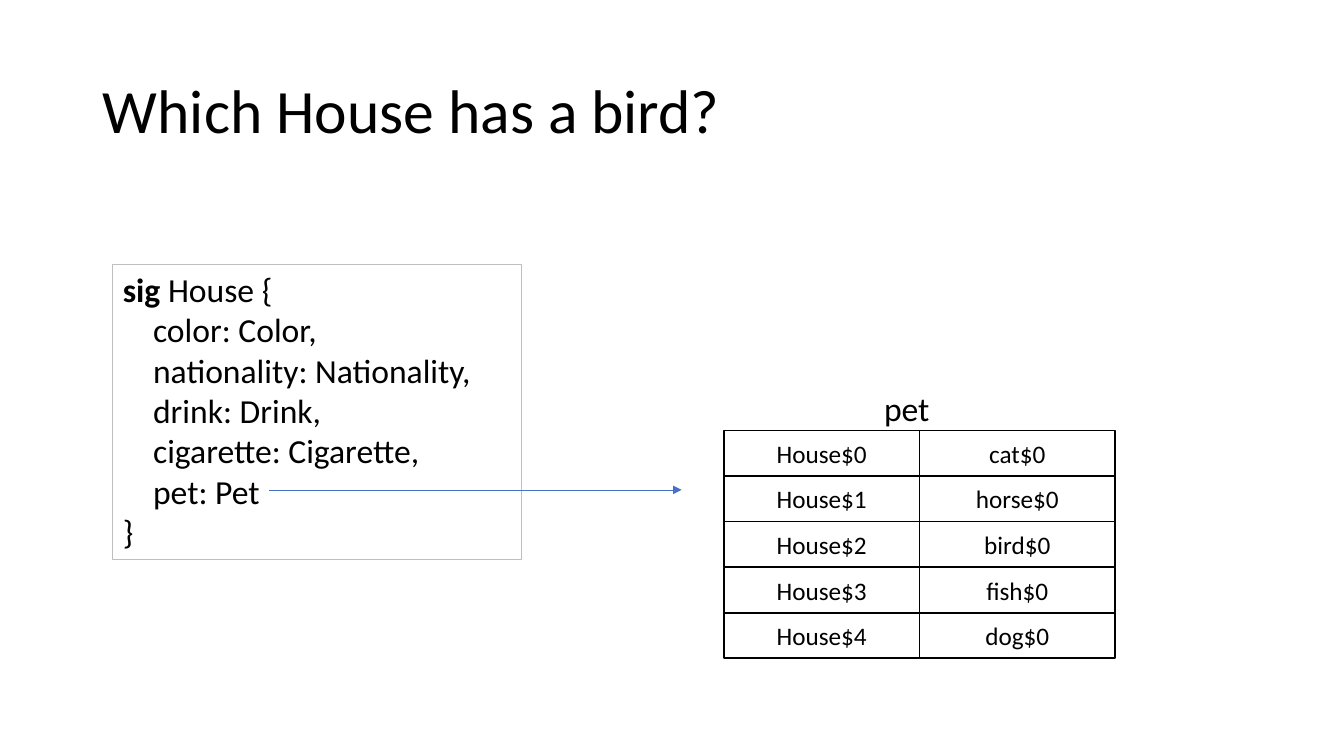
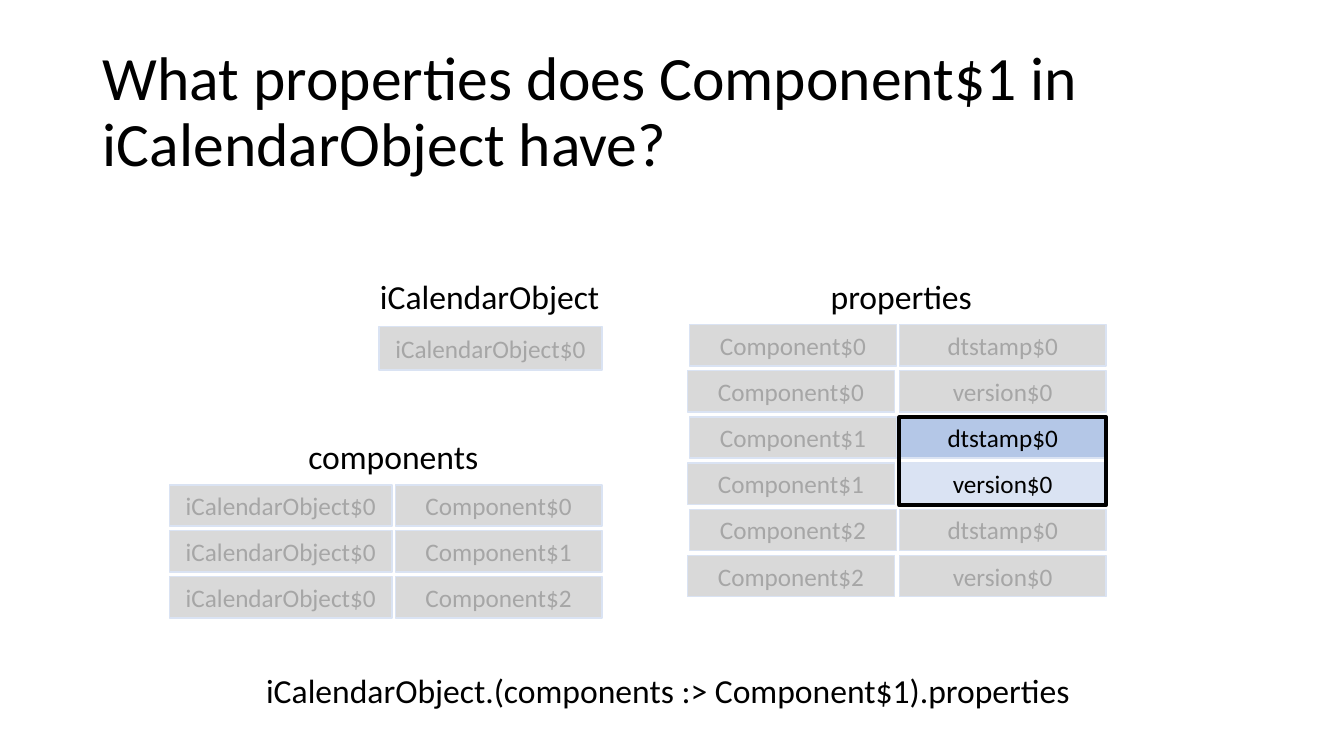
import pptx
import pptx.util
import pptx.dml.color
import pptx.enum.shapes
import pptx.enum.text
import pptx.oxml
import pptx.oxml.ns

In, Pt = pptx.util.Inches, pptx.util.Pt
PP, MSO = pptx.enum.text.PP_ALIGN, pptx.enum.text.MSO_ANCHOR
FONT = "Calibri"
BLACK, WHITE, BLUE, SILVER = "000000", "FFFFFF", "4472C4", "BFBFBF"
GREY, DIM, PALE, MID = "D9D9D9", "A6A6A6", "DAE3F3", "B4C7E7"
TITLE = dict(left=0.92, top=0.4, width=11.5, height=1.45)
LABEL_H = 0.5
PLAIN = dict(fill=WHITE, line=BLACK, color=BLACK)
FADED = dict(fill=GREY, line=PALE, color=DIM)

HOUSE = {
    "title": "Which House has a bird?",
    "sig": [
        ("sig", " House {"), "color: Color,", "nationality: Nationality,",
        "drink: Drink,", "cigarette: Cigarette,", "pet: Pet", ("", "}"),
    ],
    "sig_box": (1.12, 2.62, 4.05, 2.93),
    "labels": [("pet", 8.67, 3.8, 0.66)],
    "relations": [
        dict(first=4.27, last=6.08, height=0.45, columns=[(7.18, 1.94), (9.12, 1.94)],
             rows=[(f"House${i}", f"{pet}$0")
                   for i, pet in enumerate(["cat", "horse", "bird", "fish", "dog"])]),
    ],
    "arrow": (2.67, 4.86, 6.76, 4.86),
}

CALENDAR = {
    "title": "What properties does Component$1 in iCalendarObject have?",
    "labels": [
        ("properties", 8.14, 2.69, 1.62),
        ("iCalendarObject", 3.67, 2.69, 2.4),
        ("components", 2.96, 4.28, 1.9),
        ("iCalendarObject.(components :> Component$1).properties", 2.54, 6.6, 8.25),
    ],
    "relations": [
        dict(first=3.24, last=3.24, height=0.43, columns=[(3.76, 2.21)],
             rows=[("iCalendarObject$0",)]),
        dict(first=4.81, last=5.72, height=0.41, columns=[(1.68, 2.21), (3.92, 2.05)],
             rows=[("iCalendarObject$0", f"Component${i}") for i in range(3)]),
        dict(first=3.22, last=5.51, height=0.41, columns=[(6.84, 2.05), (8.92, 2.05)],
             stagger=0.02,
             rows=[(f"Component${i}", name) for i in range(3)
                   for name in ("dtstamp$0", "version$0")]),
    ],
    "hits": {("Component$1", "dtstamp$0"): MID, ("Component$1", "version$0"): PALE},
    "frame": (8.92, 4.14, 2.05, 0.87),
}


def rgb(value):
    return pptx.dml.color.RGBColor.from_string(value)


def put(obj, values):
    for name, value in values.items():
        setattr(obj, name, value)


def add_run(p, text, size, color=BLACK, bold=False):
    r = p.add_run()
    r.text = text
    put(r.font, dict(name=FONT, size=Pt(size), bold=bold))
    r.font.color.rgb = rgb(color)


def new_slide(prs, content):
    slide = prs.slides.add_slide(prs.slide_layouts[5])
    sp = slide.shapes.title
    put(sp, {name: In(value) for name, value in TITLE.items()})
    tf = sp.text_frame
    put(tf, dict(vertical_anchor=MSO.MIDDLE, word_wrap=True,
                 auto_size=pptx.enum.text.MSO_AUTO_SIZE.NONE))
    p = tf.paragraphs[0]
    put(p, dict(alignment=PP.LEFT, line_spacing=0.9))
    add_run(p, content["title"], 44)
    for label in content["labels"]:
        add_label(slide, *label)
    return slide


def add_label(slide, text, left, top, width):
    sp = slide.shapes.add_textbox(In(left), In(top), In(width), In(LABEL_H))
    sp.text_frame.word_wrap = False
    add_run(sp.text_frame.paragraphs[0], text, 24)


def add_rect(slide, box, line, weight, fill=None):
    kind = pptx.enum.shapes.MSO_SHAPE.RECTANGLE
    sp = slide.shapes.add_shape(kind, *map(In, box))
    sp.shadow.inherit = False
    if fill:
        sp.fill.solid()
        sp.fill.fore_color.rgb = rgb(fill)
    else:
        sp.fill.background()
    sp.line.color.rgb = rgb(line)
    sp.line.width = Pt(weight)
    return sp


def add_cell(slide, box, text, fill, line, color):
    tf = add_rect(slide, box, line, 1, fill).text_frame
    put(tf, dict(word_wrap=True, vertical_anchor=MSO.MIDDLE))
    p = tf.paragraphs[0]
    p.alignment = PP.CENTER
    add_run(p, text, 18, color)


def add_relation(slide, relation, style, hits):
    first, rows = relation["first"], relation["rows"]
    pitch = (relation["last"] - first) / max(len(rows) - 1, 1)
    for i, row in enumerate(rows):
        for j, ((left, width), text) in enumerate(zip(relation["columns"], row)):
            shift = relation.get("stagger", 0) if i % 2 and j == 0 else 0
            box = (left - shift, first + i * pitch, width, relation["height"])
            lit = row in hits and j == len(row) - 1
            look = dict(style, fill=hits[row], color=BLACK) if lit else style
            add_cell(slide, box, text, **look)


def add_xml(parent, xml):
    ns = pptx.oxml.ns.nsdecls("a")
    parent.append(pptx.oxml.parse_xml(xml.replace(">", f" {ns}>", 1)))


def add_code(slide, lines, box):
    tf = add_rect(slide, box, SILVER, 0.75).text_frame
    put(tf, dict(word_wrap=True, vertical_anchor=MSO.TOP))
    for i, line in enumerate(lines):
        p = tf.add_paragraph() if i else tf.paragraphs[0]
        p.alignment = PP.LEFT
        if isinstance(line, tuple):
            keyword, rest = line
            if keyword:
                add_run(p, keyword, 24, bold=True)
            add_run(p, rest, 24)
        else:
            p._p.get_or_add_pPr().set("marL", str(In(0.3)))
            add_run(p, line, 24)


def add_arrow(slide, ends):
    kind = pptx.enum.shapes.MSO_CONNECTOR.STRAIGHT
    line = slide.shapes.add_connector(kind, *map(In, ends))
    line.line.color.rgb = rgb(BLUE)
    line.line.width = Pt(0.5)
    add_xml(line.line._get_or_add_ln(), '<a:tailEnd type="triangle"></a:tailEnd>')
    add_xml(line._element.spPr, "<a:effectLst></a:effectLst>")


def house_slide(prs):
    slide = new_slide(prs, HOUSE)
    add_code(slide, HOUSE["sig"], HOUSE["sig_box"])
    for relation in HOUSE["relations"]:
        add_relation(slide, relation, PLAIN, {})
    add_arrow(slide, HOUSE["arrow"])


def calendar_slide(prs):
    slide = new_slide(prs, CALENDAR)
    for relation in CALENDAR["relations"]:
        add_relation(slide, relation, FADED, CALENDAR["hits"])
    add_rect(slide, CALENDAR["frame"], BLACK, 3)


def main():
    prs = pptx.Presentation()
    put(prs, dict(slide_width=In(13.33), slide_height=In(7.5)))
    house_slide(prs)
    calendar_slide(prs)
    prs.save("out.pptx")


if __name__ == "__main__":
    main()
